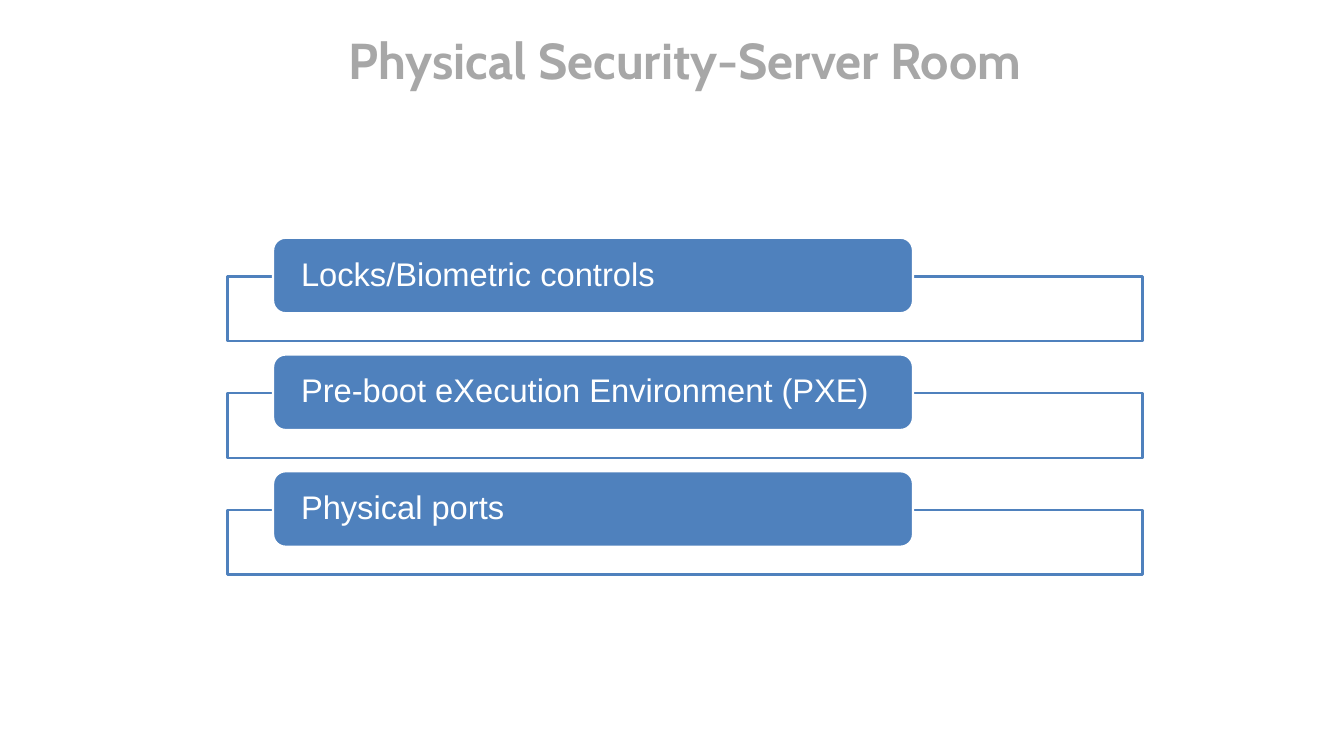
from lxml import etree
from pptx import Presentation
from pptx.dml.color import RGBColor
from pptx.enum.shapes import MSO_SHAPE as Shape
from pptx.enum.text import MSO_ANCHOR as Anchor, PP_ALIGN as Align
from pptx.oxml.ns import qn
from pptx.util import Inches, Pt

TITLE = "Physical Security-Server Room"
CONTROLS = [
    "Locks/Biometric controls",
    "Pre-boot eXecution Environment (PXE)",
    "Physical ports",
]
BLUE, WHITE, GREY = "4F81BD", "FFFFFF", "A7A7A7"
LEFT, WIDTH = 2.71, 10.89
FIRST_TOP, PITCH = 2.83, 1.39
FRAME_DROP, FRAME_HEIGHT = 0.46, 0.77
LABEL_LEFT, LABEL_WIDTH, LABEL_HEIGHT = 3.25, 7.62, 0.9


def color(target, value):
    target.rgb = RGBColor.from_string(value)


def add_block(page, kind, place, fill, line):
    block = page.shapes.add_shape(kind, *map(Inches, place))
    block.shadow.inherit = False
    block.fill.solid()
    color(block.fill.fore_color, fill)
    color(block.line.color, line)
    block.line.width = Pt(2)
    return block


def write(box, text, font, size, value, align, insets):
    frame = box.text_frame
    frame.word_wrap = True
    frame.vertical_anchor = Anchor.MIDDLE
    frame.margin_left = frame.margin_right = Inches(insets[0])
    frame.margin_top = frame.margin_bottom = Inches(insets[1])
    para = frame.paragraphs[0]
    para.text = text
    para.alignment = align
    para.font.name = font
    para.font.size = Pt(size)
    color(para.font.color, value)
    return para


def add_control(page, top, text):
    frame = add_block(page, Shape.RECTANGLE,
                      (LEFT, top + FRAME_DROP, WIDTH, FRAME_HEIGHT), WHITE, BLUE)
    tint = frame.fill._xPr.find(qn("a:solidFill"))[0]
    etree.SubElement(tint, qn("a:alpha"), val="90000")
    label = add_block(page, Shape.ROUNDED_RECTANGLE,
                      (LABEL_LEFT, top, LABEL_WIDTH, LABEL_HEIGHT), BLUE, WHITE)
    para = write(label, text, "Arial", 28, WHITE, Align.LEFT, (0.29, 0))
    para.line_spacing = 0.9


def main():
    """Build the server room security slide."""
    deck = Presentation()
    deck.slide_width, deck.slide_height = Inches(16), Inches(9)
    page = deck.slides.add_slide(deck.slide_layouts[6])
    title = page.shapes.add_textbox(*map(Inches, (LEFT, 0.4, WIDTH, 0.62)))
    para = write(title, TITLE, "Cabin", 43.2, GREY, Align.CENTER, (0.07, 0.07))
    para.font.bold = True
    for row, text in enumerate(CONTROLS):
        add_control(page, FIRST_TOP + row * PITCH, text)
    deck.save("out.pptx")


if __name__ == "__main__":
    main()
